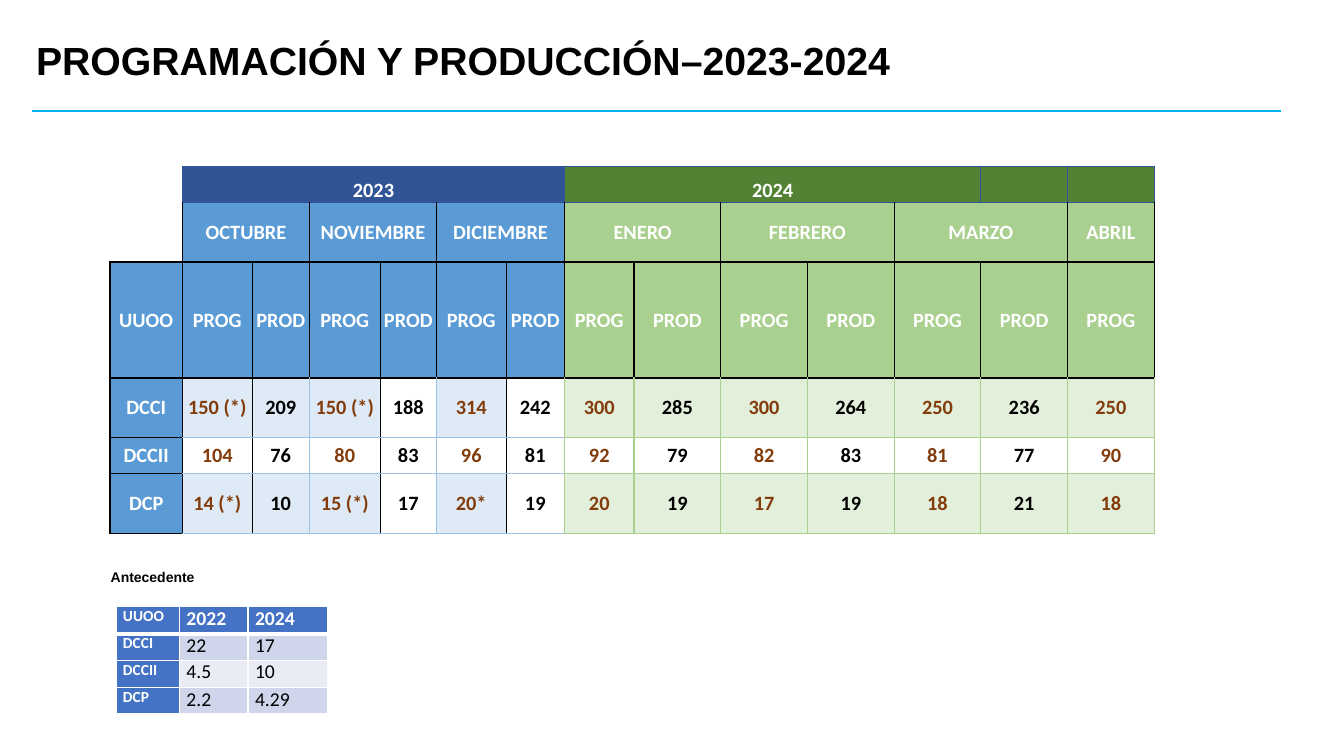
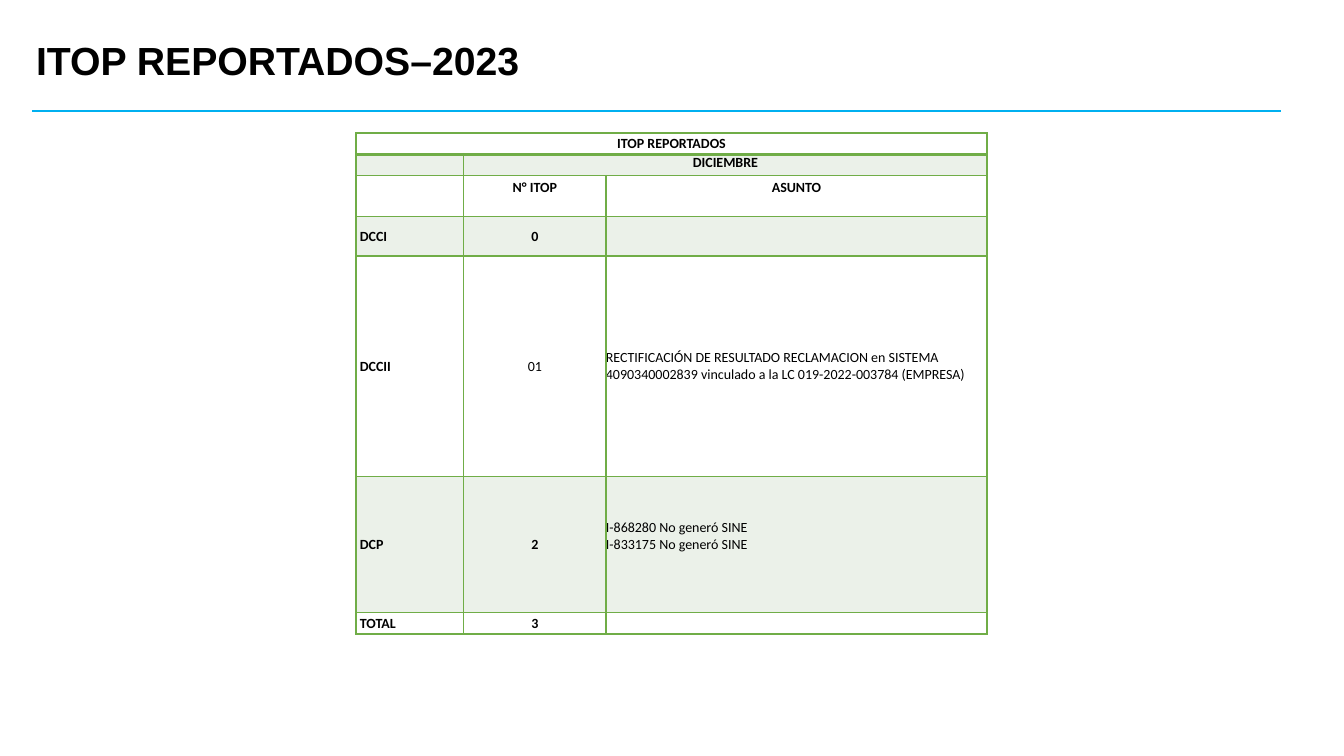
"""Builds two slides on programmed and actual production, with tables."""
from lxml import etree
from pptx import Presentation
from pptx import util as u
from pptx.dml.color import RGBColor
from pptx.enum import shapes, text
from pptx.oxml.ns import qn

COLORS = {
    "black": "000000", "white": "FFFFFF", "rule": "00B0F0",
    "navy": "305496", "blue": "5B9BD5", "sky": "9CC2E5", "pale_blue": "DEEAF6",
    "forest": "548235", "green": "A9D08E", "pale_green": "E2EFDA", "brown": "833C0C",
    "royal": "4472C4", "band_dark": "CFD5EA", "band_light": "E9EBF5",
    "grass": "70AD47", "mist": "EBF1E9",
}
LEFT, CENTER = text.PP_ALIGN.LEFT, text.PP_ALIGN.CENTER
TOP, MIDDLE, BOTTOM = text.MSO_ANCHOR.TOP, text.MSO_ANCHOR.MIDDLE, text.MSO_ANCHOR.BOTTOM
BLUE_COLUMNS = 6


def rgb(name):
    return RGBColor.from_string(COLORS[name])


def write_text(frame, content, size=10, font="Calibri", color="black", bold=True,
               align=LEFT, spacing=None):
    for index, line in enumerate(content.split("\n")):
        paragraph = frame.paragraphs[0] if index == 0 else frame.add_paragraph()
        paragraph.alignment = align
        if spacing:
            paragraph.line_spacing = spacing
        if not line:
            etree.SubElement(paragraph._p, qn("a:endParaRPr"), sz=str(int(size * 100)))
            continue
        run = paragraph.add_run()
        run.text = line
        run.font.size = u.Pt(size)
        run.font.name = font
        run.font.bold = bold
        run.font.color.rgb = rgb(color)


def add_label(slide, content, left, top, width, height, size):
    box = slide.shapes.add_textbox(*map(u.Inches, (left, top, width, height)))
    box.text_frame.word_wrap = True
    box.text_frame.vertical_anchor = MIDDLE
    write_text(box.text_frame, content, size=size, font="Arial", spacing=0.9)


def add_titled_slide(presentation, title):
    slide = presentation.slides.add_slide(presentation.slide_layouts[6])
    line = slide.shapes.add_connector(
        shapes.MSO_CONNECTOR.STRAIGHT, *map(u.Inches, (0.32, 1.1, 12.71, 1.1)))
    line.line.color.rgb = rgb("rule")
    line.line.width = u.Pt(1.5)
    etree.SubElement(line._element.spPr, qn("a:effectLst"))
    add_label(slide, title, 0.26, 0.27, 11.5, 0.7, 28)
    return slide


def add_grid(slide, left, top, columns, rows, merges=()):
    frame = slide.shapes.add_table(
        len(rows), len(columns), *map(u.Inches, (left, top, sum(columns), sum(rows))))
    table = frame.table
    table.first_row = table.horz_banding = False
    for column, width in zip(table.columns, columns):
        column.width = u.Inches(width)
    for row, height in zip(table.rows, rows):
        row.height = u.Inches(height)
    for first_row, first_column, last_row, last_column in merges:
        table.cell(first_row, first_column).merge(table.cell(last_row, last_column))
    return table


def set_borders(cell, borders):
    """Borders come as (colour, points) or None, in the order left, right, top, bottom."""
    properties = cell._tc.get_or_add_tcPr()
    position = 0
    for side, border in zip(("lnL", "lnR", "lnT", "lnB"), borders):
        if border is None:
            continue
        color, width = border
        line = etree.Element(qn(f"a:{side}"), w=str(u.Pt(width)))
        fill = etree.SubElement(line, qn("a:solidFill"))
        etree.SubElement(fill, qn("a:srgbClr"), val=COLORS[color])
        properties.insert(position, line)
        position += 1


def fill_cell(cell, content, borders, fill=None, anchor=MIDDLE, margins=(0, 0, 0, 0),
              **text_format):
    cell.margin_left, cell.margin_top, cell.margin_right, cell.margin_bottom = map(
        u.Inches, margins)
    cell.vertical_anchor = anchor
    if fill:
        cell.fill.solid()
        cell.fill.fore_color.rgb = rgb(fill)
    else:
        cell.fill.background()
    set_borders(cell, borders)
    write_text(cell.text_frame, content, **text_format)


def production_borders(row, column):
    black, thin, sky, green = ("black", 1), ("black", 0.5), ("sky", 1), ("green", 1)
    if row == 0:
        return (None, ("navy", 1), None, black) if column == 0 else (("navy", 1),) * 4
    if row == 1:
        return black, black, ("navy", 1), black
    if row == 2:
        return (thin if 1 < column <= BLUE_COLUMNS else black,
                thin if 0 < column < BLUE_COLUMNS else black, black, black)
    if column == 0:
        return black, black, black if row == 3 else thin, black if row == 5 else thin
    if column > BLUE_COLUMNS:
        return green, green, black if row == 3 else green, green
    top = black if row == 3 else sky
    if column % 2:
        return black if column == 1 else sky, thin, top, sky
    return thin, green if column == BLUE_COLUMNS else sky, top, sky


def production_fill(row, column):
    is_blue = column <= BLUE_COLUMNS
    if row == 0:
        return None if column == 0 else "navy" if is_blue else "forest"
    if row <= 2 or column == 0:
        return "blue" if is_blue else "green"
    if row == 4 or column in (4, 6):
        return None
    return "pale_blue" if is_blue else "pale_green"


def add_production_table(slide):
    months = ("OCTUBRE", "NOVIEMBRE", "DICIEMBRE", "ENERO", "FEBRERO", "MARZO", "ABRIL")
    years = {1: "2023", 7: "2024"}
    content = [
        [years.get(column, "") for column in range(14)],
        [months[column // 2] if column % 2 else "" for column in range(14)],
        ["UUOO"] + ["PROG", "PROD"] * 6 + ["PROG"],
        ["DCCI", "150 (*)", "209", "150 (*)", "188", "314", "242",
         "300", "285", "300", "264", "250", "236", "250"],
        ["DCCII", "104", "76", "80", "83", "96", "81",
         "92", "79", "82", "83", "81", "77", "90"],
        ["DCP", "14 (*)", "10", "15 (*)", "17", "20*", "19",
         "20", "19", "17", "19", "18", "21", "18"],
    ]
    merges = [(0, 0, 1, 0), (0, 1, 0, 6), (0, 7, 0, 11)]
    merges += [(1, column, 1, column + 1) for column in range(1, 13, 2)]
    columns = [0.72, 0.69, 0.57, 0.7, 0.56, 0.69, 0.58, 0.69] + [0.86] * 6
    table = add_grid(slide, 1.09, 1.65, columns, [0.36, 0.59, 1.15, 0.59, 0.36, 0.59], merges)
    for row, values in enumerate(content):
        for column, value in enumerate(values):
            cell = table.cell(row, column)
            if cell.is_spanned:
                continue
            is_header = row <= 2 or column == 0
            fill_cell(cell, value, production_borders(row, column),
                      fill=production_fill(row, column),
                      anchor=BOTTOM if row == 0 else MIDDLE, size=14.5, align=CENTER,
                      color="white" if is_header else "brown" if column % 2 else "black")


def add_background_table(slide):
    content = [("UUOO", "2022", "2024"), ("DCCI", "22", "17"),
               ("DCCII", "4.5", "10"), ("DCP", "2.2", "4.29")]
    table = add_grid(slide, 1.15, 6.02, [0.63, 0.68, 0.79], [0.27, 0.26, 0.27, 0.26])
    thin, thick = ("white", 1), ("white", 3)
    for row, values in enumerate(content):
        for column, value in enumerate(values):
            is_header = row == 0 or column == 0
            band = "band_dark" if row % 2 else "band_light"
            fill_cell(table.cell(row, column), value,
                      (thin, thin, thick if row == 1 else thin, thick if row == 0 else thin),
                      fill="royal" if is_header else band, anchor=TOP,
                      margins=(0.07, 0, 0.07, 0), size=14 if column else 11,
                      color="white" if is_header else "black", bold=is_header)


def add_report_table(slide):
    content = [
        ("ITOP REPORTADOS", "", ""),
        ("", "DICIEMBRE", ""),
        ("", "N° ITOP", "ASUNTO"),
        ("DCCI", "0", ""),
        ("DCCII", "01", "RECTIFICACIÓN DE RESULTADO RECLAMACION en SISTEMA "
                        "4090340002839 vinculado a la LC 019-2022-003784 (EMPRESA)"),
        ("DCP", "2", "I-868280 No generó SINE\nI-833175 No generó SINE"),
        ("TOTAL", "3", ""),
    ]
    raised = {(2, 1), (2, 2), (5, 2)}
    regular = {(4, 1), (4, 2), (5, 2)}
    table = add_grid(slide, 3.53, 1.32, [1.07, 1.41, 3.78],
                     [0.21, 0.21, 0.41, 0.39, 2.19, 1.35, 0.21],
                     [(0, 0, 0, 2), (1, 1, 1, 2)])
    thin, thick = ("grass", 1), ("grass", 2.25)
    for row, values in enumerate(content):
        for column, value in enumerate(values):
            cell = table.cell(row, column)
            if cell.is_spanned:
                continue
            place = row, column
            side_margin = 0 if column else 0.04
            is_centered = row == 0 or column == 1 or row == 2
            fill_cell(cell, value,
                      (thin, thin, thick if row == 1 else thin, thick if row == 0 else thin),
                      fill="mist" if row % 2 else None, anchor=TOP if row == 1 else MIDDLE,
                      margins=(side_margin, 0, side_margin, 0.17 if place in raised else 0),
                      align=CENTER if is_centered else LEFT, bold=place not in regular)


def main():
    presentation = Presentation()
    presentation.slide_width = u.Inches(13.33)
    presentation.slide_height = u.Inches(7.5)
    slide = add_titled_slide(presentation, "PROGRAMACIÓN Y PRODUCCIÓN–2023-2024")
    add_production_table(slide)
    add_background_table(slide)
    add_label(slide, "Antecedente", 1, 5.6, 2.76, 0.27, 10)
    slide = add_titled_slide(presentation, "ITOP REPORTADOS–2023")
    add_report_table(slide)
    presentation.save("out.pptx")


if __name__ == "__main__":
    main()
